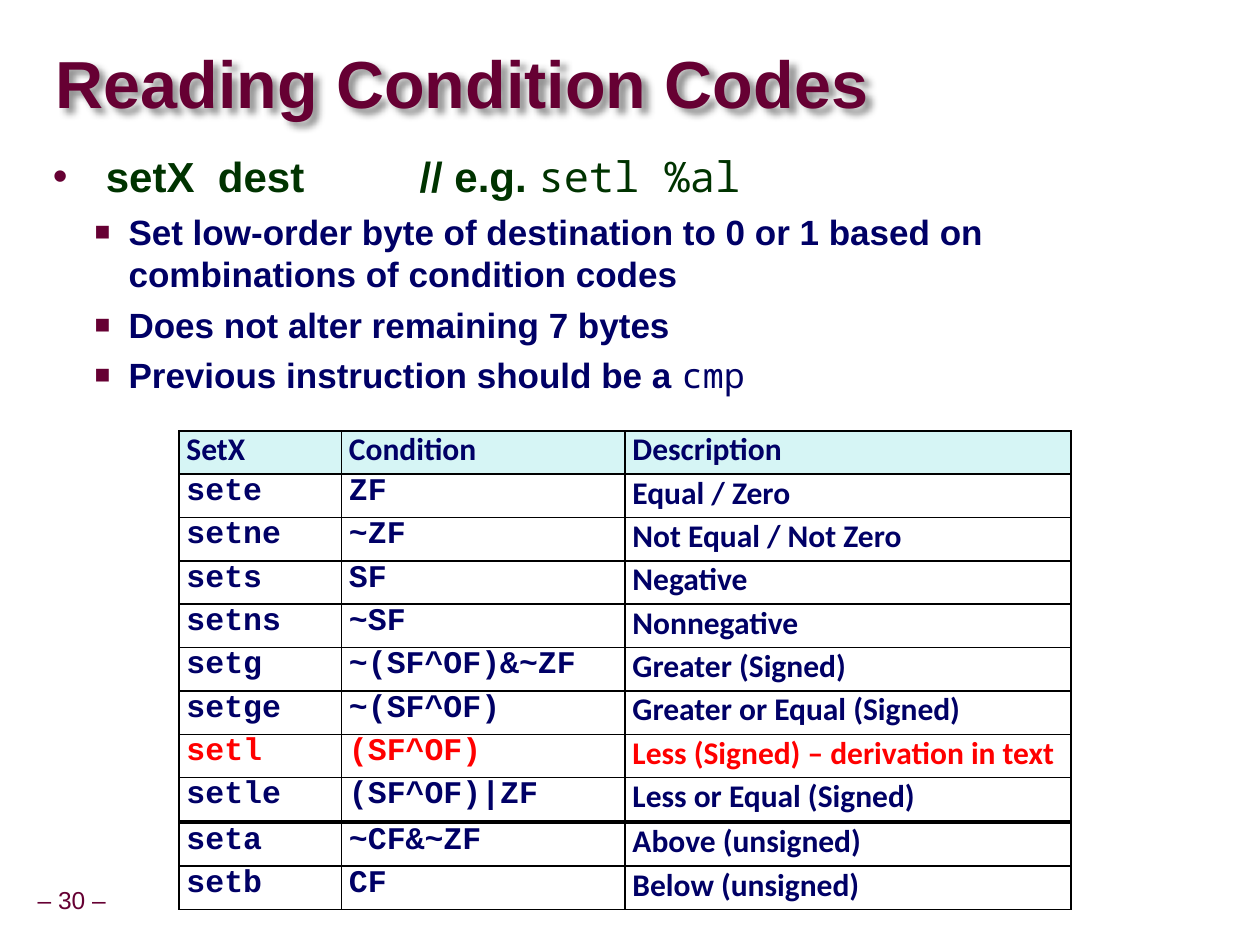
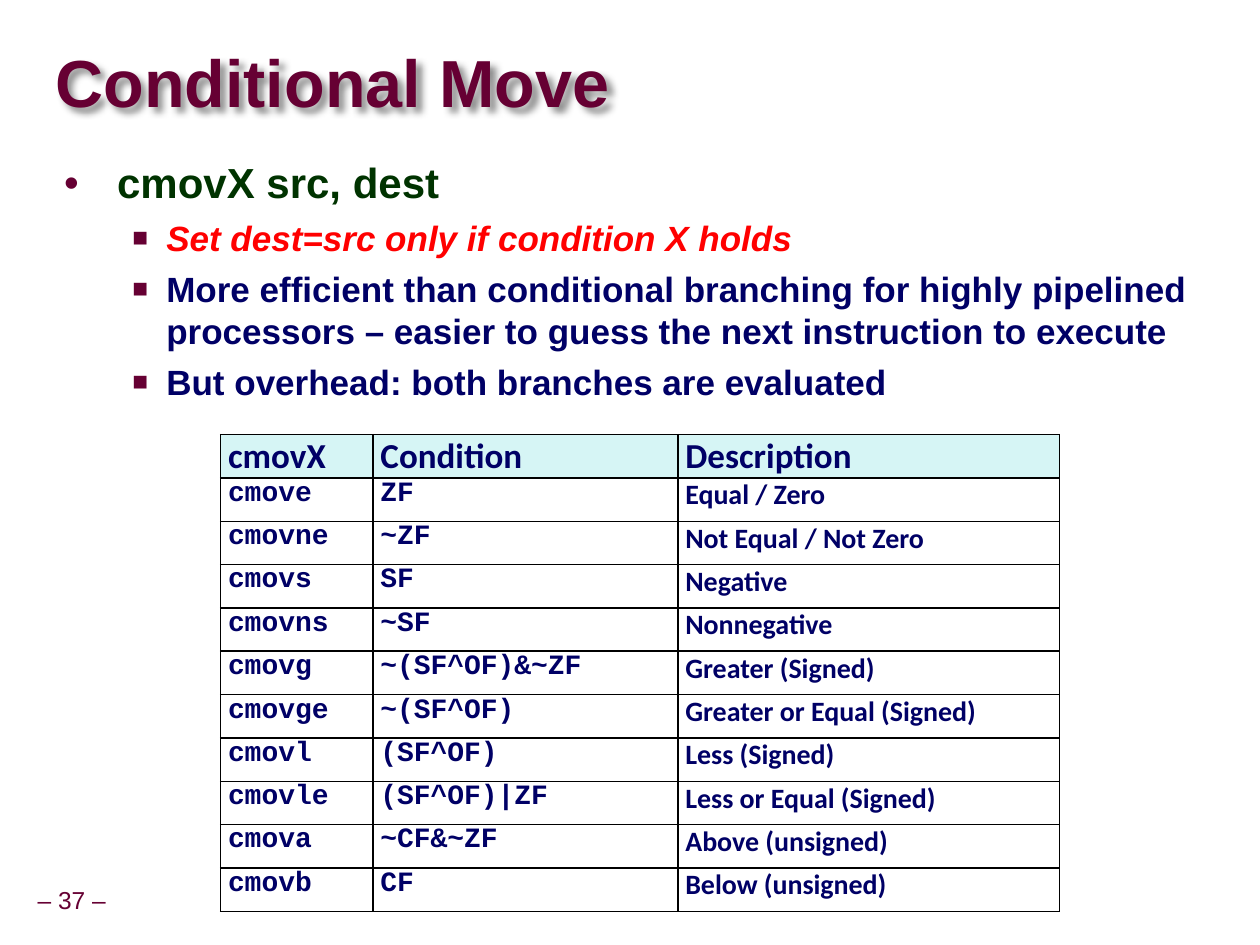
from lxml import etree
from pptx import Presentation
from pptx import util as u
from pptx.dml.color import RGBColor
from pptx.enum import text
from pptx.oxml.ns import qn

MAROON, GREEN, NAVY, RED = "660033", "003300", "000066", "FF0000"
HEADER_FILL, BLACK = "D6F5F5", "000000"
SANS, TABLE_SANS, CODE, MONO = "Arial", "Calibri", "Courier New", "Noto Sans Mono"
ROW_HEIGHT = u.Inches(1.72) // 5


def color(hex_string):
    return RGBColor.from_string(hex_string)


def add_xml(parent, tag, **attributes):
    child = etree.SubElement(parent, qn(tag))
    for name, value in attributes.items():
        child.set(name, str(value))
    return child


def add_xml_color(parent, hex_string):
    return add_xml(parent, "a:srgbClr", val=hex_string)


class Deck:
    """The shared style, and the page being filled."""

    def __init__(self):
        self.file = Presentation()
        self.file.slide_width, self.file.slide_height = u.Inches(10), u.Inches(7.5)
        self.page = None

    def add_page(self, title, number, title_place):
        self.page = self.file.slides.add_slide(self.file.slide_layouts[1])
        self.add_title(title, title_place)
        self.add_number(number)

    def place(self, box, place):
        box.left, box.top, box.width, box.height = map(u.Inches, place)

    def frame(self, box, side, top, anchor):
        frame = box.text_frame
        frame.margin_left = frame.margin_right = u.Inches(side)
        frame.margin_top = frame.margin_bottom = u.Inches(top)
        frame.vertical_anchor = anchor
        frame.auto_size = text.MSO_AUTO_SIZE.NONE
        return frame

    def add_span(self, para, words, size, hue, font=SANS, bold=True, italic=False):
        span = para.add_run()
        span.text = words
        span.font.name, span.font.size = font, u.Pt(size)
        span.font.bold, span.font.italic = bold, italic
        span.font.color.rgb = color(hue)

    def add_title(self, words, place):
        box = self.page.shapes.title
        self.place(box, place)
        box.fill.background()
        effects = add_xml(box._element.spPr, "a:effectLst")
        shadow = add_xml(effects, "a:outerShdw", blurRad=u.Pt(4), dist=u.Pt(4),
                         dir=2700000, algn="tl", rotWithShape=0)
        add_xml(add_xml_color(shadow, BLACK), "a:alpha", val=43000)
        para = self.frame(box, 0, 0, text.MSO_ANCHOR.MIDDLE).paragraphs[0]
        para.alignment = text.PP_ALIGN.LEFT
        para.line_spacing = 0.87
        self.add_span(para, words, 38, MAROON)

    def add_number(self, number):
        box = self.page.shapes.add_textbox(0, 0, 0, 0)
        self.place(box, (0.24, 7, 0.66, 0.31))
        frame = self.frame(box, 0.05, 0.05, text.MSO_ANCHOR.MIDDLE)
        frame.word_wrap = False
        para = frame.paragraphs[0]
        para.alignment = text.PP_ALIGN.CENTER
        para.line_spacing = 0.9
        self.add_span(para, f"– {number} –", 14, MAROON, bold=False)

    def format_item(self, para, margin, hanging, before, mark, mark_size, tabs=()):
        """Set indents, space before (percent), bullet and tab stops."""
        props = para._p.get_or_add_pPr()
        props.set("marL", str(u.Inches(margin)))
        props.set("indent", str(-u.Inches(hanging)))
        add_xml(add_xml(props, "a:spcBef"), "a:spcPct", val=before * 1000)
        add_xml_color(add_xml(props, "a:buClr"), MAROON)
        add_xml(props, "a:buSzPct", val=mark_size * 1000)
        add_xml(props, "a:buFont", typeface=SANS)
        add_xml(props, "a:buChar", char=mark)
        if tabs:
            stops = add_xml(props, "a:tabLst")
            for stop in tabs:
                add_xml(stops, "a:tab", pos=u.Inches(stop), algn="l")

    def add_list(self, place, heading, items, item_margin, tabs=()):
        """Heading and items are lists of (words, span options)."""
        box = self.page.placeholders[1]
        self.place(box, place)
        frame = self.frame(box, 0.1, 0.05, text.MSO_ANCHOR.TOP)
        para = frame.paragraphs[0]
        para.line_spacing = 0.95
        self.format_item(para, 0.42, 0.42, 50, "•", 100, tabs)
        for words, options in heading:
            self.add_span(para, words, 24, GREEN, **options)
        for item in items:
            para = frame.add_paragraph()
            para.level = 1
            self.format_item(para, item_margin, 0.27, 25, "■", 75)
            for words, options in item:
                self.add_span(para, words, 20, **{"hue": NAVY, **options})

    def add_cell(self, cell, words, size, hue, font, fill=None):
        cell.margin_left = cell.margin_right = u.Inches(0.06)
        cell.margin_top = cell.margin_bottom = 0
        props = cell._tc.get_or_add_tcPr()
        for side in "LRTB":
            line = add_xml(props, f"a:ln{side}", w=u.Pt(1))
            add_xml_color(add_xml(line, "a:solidFill"), BLACK)
        if fill:
            cell.fill.solid()
            cell.fill.fore_color.rgb = color(fill)
        else:
            cell.fill.background()
        self.add_span(cell.text_frame.paragraphs[0], words, size, hue, font)

    def add_table(self, left, top, widths, rows, size, header_size=None, red_row=None):
        """With a header_size, the first row is a header."""
        table = self.page.shapes.add_table(
            len(rows), len(widths), u.Inches(left), u.Inches(top),
            u.Inches(sum(widths)), ROW_HEIGHT * len(rows)).table
        table.first_row = table.horz_banding = False
        for column, width in zip(table.columns, widths):
            column.width = u.Inches(width)
        for r, row in enumerate(rows):
            table.rows[r].height = ROW_HEIGHT
            hue = RED if row[0] == red_row else NAVY
            for c, words in enumerate(row):
                if header_size and r == 0:
                    self.add_cell(table.cell(r, c), words, header_size, hue,
                                  TABLE_SANS, HEADER_FILL)
                else:
                    font = TABLE_SANS if c == 2 else CODE
                    self.add_cell(table.cell(r, c), words, size, hue, font)


CONDITIONS = [
    ("e", "ZF", "Equal / Zero"),
    ("ne", "~ZF", "Not Equal / Not Zero"),
    ("s", "SF", "Negative"),
    ("ns", "~SF", "Nonnegative"),
    ("g", "~(SF^OF)&~ZF", "Greater (Signed)"),
    ("ge", "~(SF^OF)", "Greater or Equal (Signed)"),
    ("l", "(SF^OF)", "Less (Signed)"),
    ("le", "(SF^OF)|ZF", "Less or Equal (Signed)"),
    ("a", "~CF&~ZF", "Above (unsigned)"),
    ("b", "CF", "Below (unsigned)"),
]


def condition_rows(prefix, heading):
    rows = [(heading, "Condition", "Description")]
    return rows + [(prefix + suffix, test, meaning) for suffix, test, meaning in CONDITIONS]


def build_set_page(deck):
    code = {"font": MONO, "bold": False}
    deck.add_page("Reading Condition Codes", 30, (0.44, 0.27, 9.53, 0.85))
    deck.add_list(
        (0.32, 1.17, 9.09, 5.71),
        [("setX\tdest\t// e.g. ", {}), ("setl %al", code)],
        [[("Set low-order byte of destination to 0 or 1 based on "
           "combinations of condition codes", {})],
         [("Does not alter remaining 7 bytes", {})],
         [("Previous instruction should be a ", {}), ("cmp", code)]],
        item_margin=0.6, tabs=(1.31, 2.91))
    rows = condition_rows("set", "SetX")
    rows[7] = (*rows[7][:2], "Less (Signed) – derivation in text")
    widths = (1.29, 2.25, 3.54)
    deck.add_table(1.42, 3.42, widths, rows[:5], 18, header_size=18)
    deck.add_table(1.42, 5.14, widths, rows[5:9], 18, red_row="setl")
    deck.add_table(1.42, 6.53, widths, rows[9:], 18)


def build_move_page(deck):
    deck.add_page("Conditional Move", 37, (0.44, 0.37, 8.97, 0.63))
    deck.add_list(
        (0.41, 1.22, 9.25, 1.33),
        [("cmovX src, dest", {})],
        [[("Set dest=src only if condition X holds", {"hue": RED, "italic": True})],
         [("More efficient than conditional branching for highly pipelined "
           "processors – easier to guess the next instruction to execute", {})],
         [("But overhead: both branches are evaluated", {})]],
        item_margin=0.81)
    rows = condition_rows("cmov", "cmovX")
    widths = (1.21, 2.42, 3.03)
    deck.add_table(1.75, 3.45, widths, rows[:5], 16, header_size=20)
    deck.add_table(1.75, 5.17, widths, rows[5:], 16)


def main():
    deck = Deck()
    build_set_page(deck)
    build_move_page(deck)
    deck.file.save("out.pptx")


if __name__ == "__main__":
    main()
